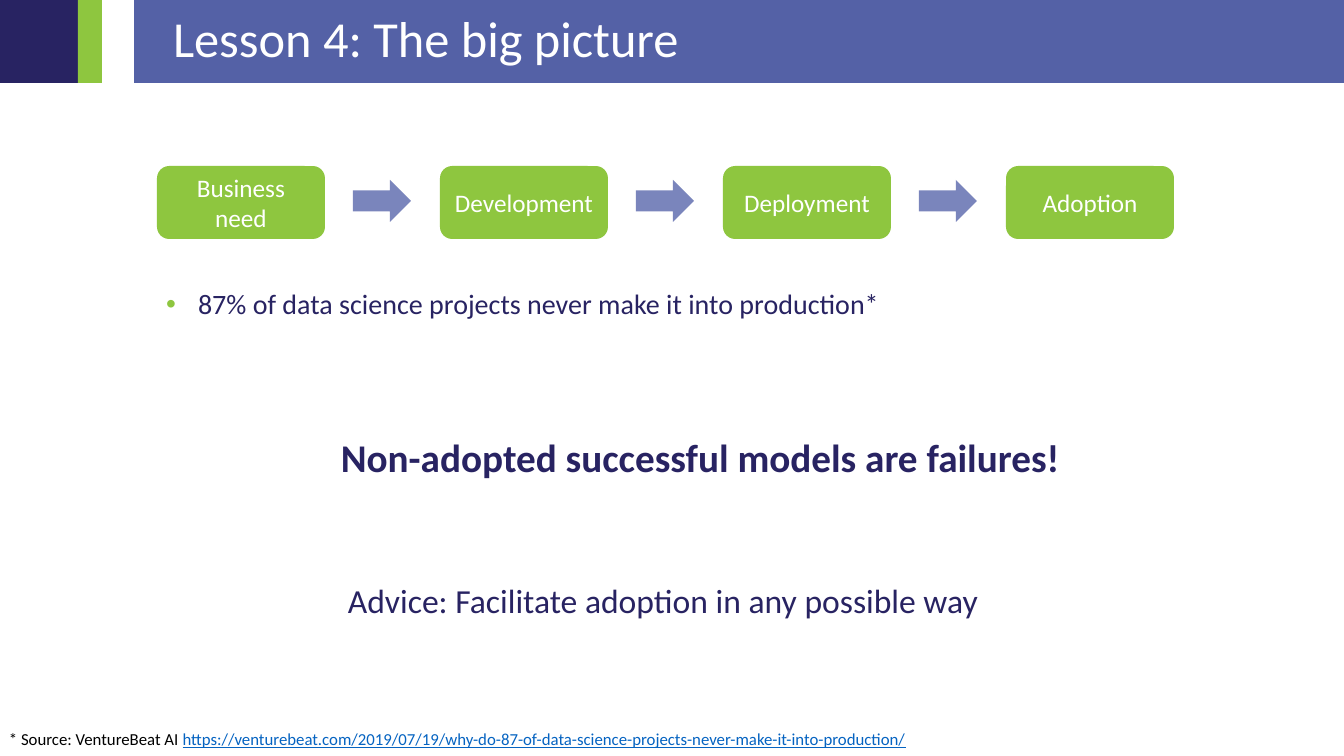
"""Build the slide on the big picture of model adoption."""
import dataclasses

import lxml.etree
import pptx
import pptx.dml.color
import pptx.enum.shapes
import pptx.enum.text
import pptx.oxml.ns
import pptx.util

RGBColor = pptx.dml.color.RGBColor
MSO_SHAPE = pptx.enum.shapes.MSO_SHAPE
PP_ALIGN = pptx.enum.text.PP_ALIGN
MSO_ANCHOR = pptx.enum.text.MSO_ANCHOR
qn = pptx.oxml.ns.qn

WHITE = RGBColor(0xFF, 0xFF, 0xFF)
BLACK = RGBColor(0x00, 0x00, 0x00)
NAVY = RGBColor(0x28, 0x23, 0x62)
INDIGO = RGBColor(0x54, 0x61, 0xA6)
LAVENDER = RGBColor(0x7A, 0x85, 0xBC)
GREEN = RGBColor(0x8E, 0xC6, 0x3F)
LINK_BLUE = RGBColor(0x05, 0x63, 0xC1)

FONT = "Calibri"
EMU_PER_PX = 914400 / 100.8
STEPS = ("Business need", "Development", "Deployment", "Adoption")
STEP_PITCH = 283
BULLET_INDENT = 32


def px(length: int) -> int:
    return round(length * EMU_PER_PX)


@dataclasses.dataclass(frozen=True)
class Box:
    left: int
    top: int
    width: int
    height: int

    def shifted(self, distance: int) -> "Box":
        return dataclasses.replace(self, left=self.left + distance)

    def emu(self) -> tuple[int, ...]:
        return tuple(px(length) for length in dataclasses.astuple(self))


@dataclasses.dataclass(frozen=True)
class Statement:
    text: str
    box: Box
    size: int
    bold: bool = False


FIRST_STEP = Box(157, 166, 168, 73)
FIRST_ARROW = Box(353, 180, 58, 42)
STATEMENTS = (
    Statement("Non-adopted successful models are failures!", Box(331, 434, 803, 50), 28, True),
    Statement("Advice: Facilitate adoption in any possible way", Box(338, 579, 668, 59), 24),
)


def add_text(frame, text: str, *, size: int, color: RGBColor, bold: bool = False,
             underline: bool = False, align: PP_ALIGN = PP_ALIGN.LEFT,
             anchor: MSO_ANCHOR = MSO_ANCHOR.TOP, spacing: float = 1.0) -> None:
    frame.word_wrap = True
    frame.auto_size = pptx.enum.text.MSO_AUTO_SIZE.NONE
    frame.vertical_anchor = anchor
    paragraph = frame.paragraphs[0]
    paragraph.alignment = align
    paragraph.line_spacing = spacing
    paragraph.space_before = pptx.util.Pt(0)
    run = paragraph.add_run()
    run.text = text
    run.font.name = FONT
    run.font.size = pptx.util.Pt(size)
    run.font.bold = bold
    run.font.underline = underline
    run.font.color.rgb = color


def add_block(slide, kind: MSO_SHAPE, box: Box, fill: RGBColor):
    block = slide.shapes.add_shape(kind, *box.emu())
    block.shadow.inherit = False
    block.fill.solid()
    block.fill.fore_color.rgb = fill
    block.line.fill.background()
    return block


def place(placeholder, box: Box) -> None:
    placeholder.left, placeholder.top, placeholder.width, placeholder.height = box.emu()


def add_bullet(paragraph, color: RGBColor) -> None:
    properties = paragraph._p.get_or_add_pPr()
    properties.set("marL", str(px(BULLET_INDENT)))
    properties.set("indent", str(-px(BULLET_INDENT)))
    bullet_color = lxml.etree.SubElement(properties, qn("a:buClr"))
    lxml.etree.SubElement(bullet_color, qn("a:srgbClr"), val=str(color))
    lxml.etree.SubElement(properties, qn("a:buFont"), typeface="Arial")
    lxml.etree.SubElement(properties, qn("a:buChar"), char="•")


def add_header(slide) -> None:
    title = slide.shapes.title
    place(title, Box(134, 0, 1210, 83))
    title.fill.solid()
    title.fill.fore_color.rgb = INDIGO
    title.text_frame.margin_left = px(39)
    add_text(title.text_frame, "Lesson 4: The big picture", size=36, color=WHITE,
             anchor=MSO_ANCHOR.MIDDLE, spacing=0.9)
    add_block(slide, MSO_SHAPE.RECTANGLE, Box(0, 0, 93, 83), NAVY)
    add_block(slide, MSO_SHAPE.RECTANGLE, Box(78, 0, 24, 83), GREEN)


def add_process(slide) -> None:
    for index, label in enumerate(STEPS):
        offset = index * STEP_PITCH
        step = add_block(slide, MSO_SHAPE.ROUNDED_RECTANGLE, FIRST_STEP.shifted(offset), GREEN)
        add_text(step.text_frame, label, size=18, color=WHITE,
                 align=PP_ALIGN.CENTER, anchor=MSO_ANCHOR.MIDDLE)
        if index < len(STEPS) - 1:
            add_block(slide, MSO_SHAPE.RIGHT_ARROW, FIRST_ARROW.shifted(offset), LAVENDER)


def add_messages(slide) -> None:
    finding = slide.placeholders[1]
    place(finding, Box(156, 285, 1036, 62))
    add_bullet(finding.text_frame.paragraphs[0], GREEN)
    add_text(finding.text_frame, "87% of data science projects never make it into production*",
             size=20, color=NAVY, spacing=0.9)
    for statement in STATEMENTS:
        message = slide.shapes.add_textbox(*statement.box.emu())
        add_text(message.text_frame, statement.text, size=statement.size, color=NAVY,
                 bold=statement.bold, spacing=0.9)


def add_source(slide) -> None:
    source = slide.shapes.add_textbox(*Box(-1, 724, 946, 30).emu()).text_frame
    add_text(source, "* Source: VentureBeat AI ", size=12, color=BLACK)
    add_text(
        source,
        "https://venturebeat.com/2019/07/19/why-do-87-of-data-science-projects-never-make-it-into-production/",
        size=12, color=LINK_BLUE, underline=True)


def main() -> None:
    presentation = pptx.Presentation()
    presentation.slide_width = px(1344)
    presentation.slide_height = px(756)
    slide = presentation.slides.add_slide(presentation.slide_layouts[1])
    add_header(slide)
    add_process(slide)
    add_messages(slide)
    add_source(slide)
    presentation.save("out.pptx")


if __name__ == "__main__":
    main()
